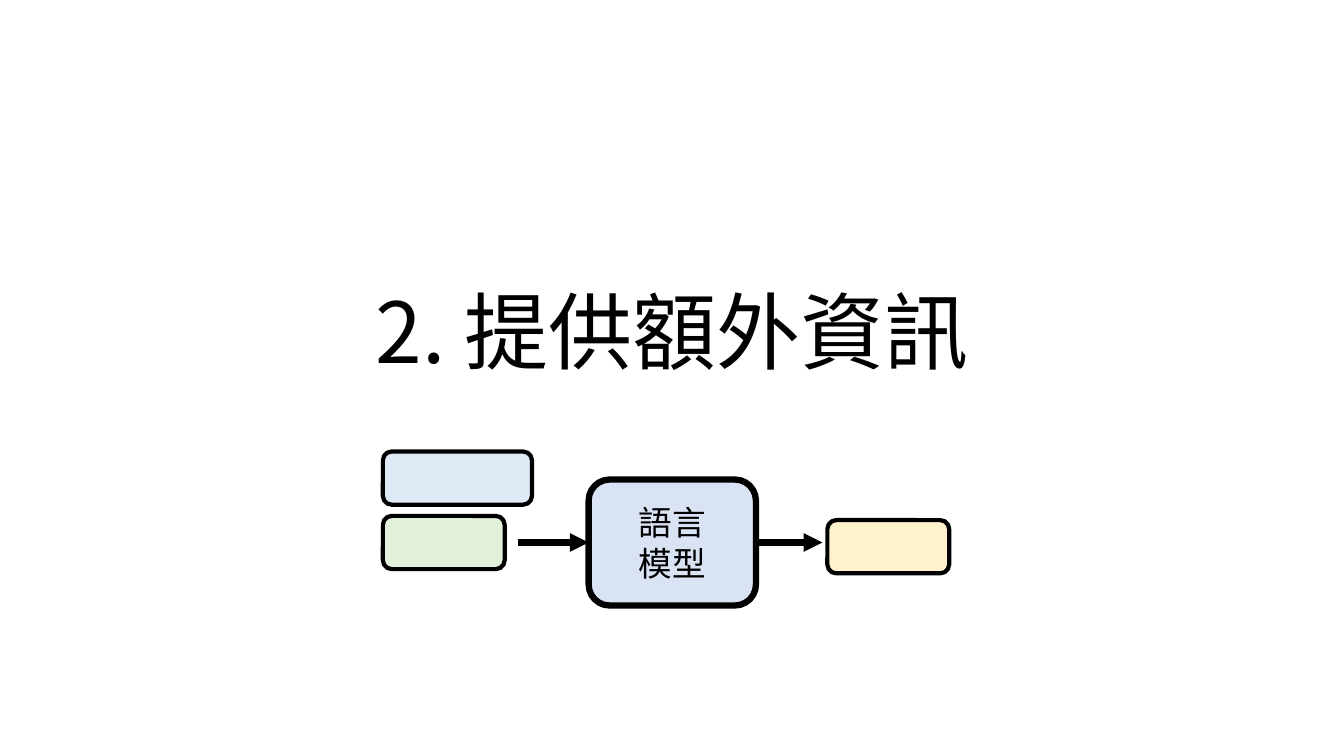
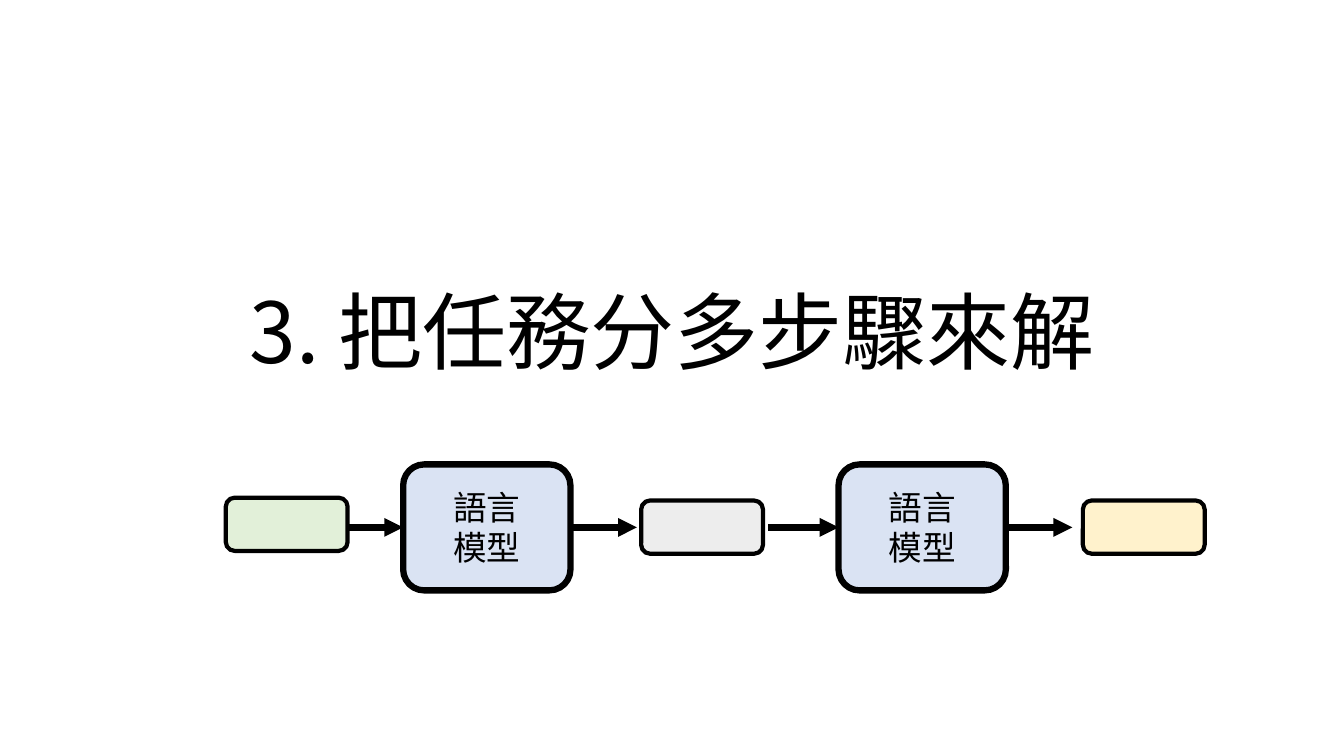
"""Build two section slides, each a title above a language model pipeline."""
from lxml import etree
from pptx import Presentation
from pptx.dml.color import RGBColor
from pptx.enum import shapes, text
from pptx.oxml import ns
from pptx.util import Pt

COLORS = {
    "ink": "000000",
    "model": "DAE3F3",
    "context": "DEEBF7",
    "input": "E2F0D9",
    "middle": "EDEDED",
    "output": "FFF2CC",
}
FONT = "Noto Sans CJK SC"
TITLE_BOX = (120, 88.5, 720, 188)
MODEL_W, MODEL_H = 119.5, 90
CHIP_W, CHIP_H = 87, 38
ARROW_IN, ARROW_OUT = 50.4, 47.5
LINE_W, CHIP_LINE_W = 4.5, 3

SECTIONS = [
    {
        "title": "2. 提供額外資訊",
        "models": [(420.5, 342.5)],
        "chips": [
            ("output", 591, 371.5, CHIP_W),
            ("input", 273.5, 368.5, CHIP_W),
            ("context", 273.5, 322.5, 106.5),
        ],
    },
    {
        "title": "3. 把任務分多步驟來解",
        "models": [(288, 331.7), (599, 331.7)],
        "chips": [
            ("output", 773.5, 357.5, CHIP_W),
            ("middle", 458, 357.5, CHIP_W),
            ("input", 161.3, 355.5, CHIP_W),
        ],
    },
]


def color(name):
    """Return the named colour."""
    return RGBColor.from_string(COLORS[name])


def apply(obj, values):
    """Set each attribute of obj from a dict."""
    for name, value in values.items():
        setattr(obj, name, value)


def write(tf, lines, size, anchor, spacing=1.0):
    """Fill a text frame with centred paragraphs."""
    apply(tf, {"word_wrap": True, "auto_size": text.MSO_AUTO_SIZE.NONE,
               "vertical_anchor": anchor})
    for i, line in enumerate(lines):
        p = tf.add_paragraph() if i else tf.paragraphs[0]
        apply(p, {"alignment": text.PP_ALIGN.CENTER, "line_spacing": spacing})
        r = p.add_run()
        r.text = line
        r.font.color.rgb = color("ink")
        apply(r.font, {"name": FONT, "size": Pt(size), "bold": False})
        etree.SubElement(r.font._element, ns.qn("a:ea"), typeface=FONT)


def add_title(s, title):
    """Place the section title in its placeholder."""
    sp = s.shapes.title
    apply(sp, dict(zip(("left", "top", "width", "height"), map(Pt, TITLE_BOX))))
    write(sp.text_frame, [title], 60, text.MSO_ANCHOR.BOTTOM, 0.9)
    subtitle = s.placeholders[1].element
    subtitle.getparent().remove(subtitle)


def add_box(s, fill, x, y, w, h, line_w):
    """Draw an outlined rounded box."""
    sp = s.shapes.add_shape(shapes.MSO_SHAPE.ROUNDED_RECTANGLE,
                            *map(Pt, (x, y, w, h)))
    sp.shadow.inherit = False
    sp.fill.solid()
    sp.fill.fore_color.rgb = color(fill)
    sp.line.color.rgb = color("ink")
    sp.line.width = Pt(line_w)
    return sp


def add_arrow(s, x1, x2, y):
    """Draw a level arrow pointing right."""
    c = s.shapes.add_connector(shapes.MSO_CONNECTOR.STRAIGHT,
                               *map(Pt, (x1, y, x2, y)))
    c.line.color.rgb = color("ink")
    c.line.width = Pt(LINE_W)
    etree.SubElement(c.line._get_or_add_ln(), ns.qn("a:tailEnd"), type="triangle")
    etree.SubElement(c._element.spPr, ns.qn("a:effectLst"))
    return c


def add_model(s, x, y):
    """Draw a language model with its incoming and outgoing arrows."""
    sp = add_box(s, "model", x, y, MODEL_W, MODEL_H, LINE_W)
    write(sp.text_frame, ["語言", "模型"], 24, text.MSO_ANCHOR.MIDDLE)
    right, middle = x + MODEL_W, y + MODEL_H / 2
    add_arrow(s, x - ARROW_IN, x, middle).end_connect(sp, 1)
    add_arrow(s, right, right + ARROW_OUT, middle).begin_connect(sp, 3)


def add_section(prs, section):
    """Add one section slide."""
    s = prs.slides.add_slide(prs.slide_layouts[0])
    add_title(s, section["title"])
    for x, y in section["models"]:
        add_model(s, x, y)
    for fill, x, y, w in section["chips"]:
        add_box(s, fill, x, y, w, CHIP_H, CHIP_LINE_W)


def main():
    """Build and save the presentation."""
    prs = Presentation()
    apply(prs, {"slide_width": Pt(960), "slide_height": Pt(540)})
    for section in SECTIONS:
        add_section(prs, section)
    prs.save("out.pptx")


if __name__ == "__main__":
    main()
